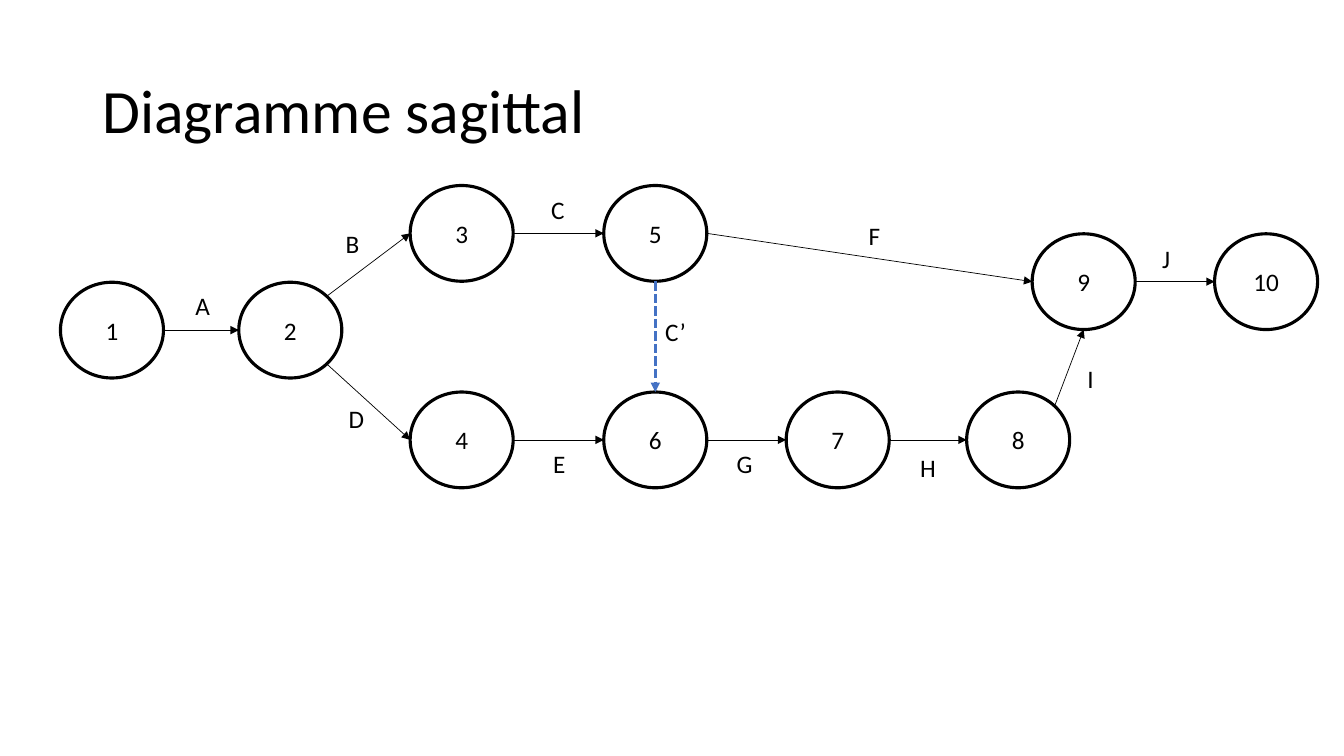
from math import sqrt
from lxml.etree import SubElement
from pptx import Presentation
from pptx.dml.color import RGBColor
from pptx.enum.dml import MSO_LINE as Dash
from pptx.enum.shapes import MSO_CONNECTOR as Link, MSO_SHAPE as Shape
from pptx.enum.text import MSO_ANCHOR as Anchor, MSO_AUTO_SIZE as Fit, PP_ALIGN as Align
from pptx.oxml.ns import qn
from pptx.util import Pt

BLACK, WHITE, BLUE = "000000", "FFFFFF", "4472C4"
WIDE, HIGH = 73.6, 68.4
TOP, RIGHT, MID, LOW = 132.5, 167, 201.6, 280

NODES = {
    "1": (43.2, MID), "2": (170.6, MID),
    "3": (293, TOP), "5": (431.3, TOP),
    "7": (561.6, LOW), "4": (293, LOW), "6": (431.3, LOW), "8": (690.5, LOW),
    "9": (737.3, RIGHT), "10": (867.6, RIGHT),
}

DIAG = sqrt(0.5)
SIDES = {
    "n": (0, -1), "s": (0, 1), "w": (-1, 0), "e": (1, 0),
    "ne": (DIAG, -DIAG), "se": (DIAG, DIAG),
}

TASKS = [
    ("A", "1", "e", "2", "w", 132.5, 203.8, 25.2),
    ("B", "2", "ne", "3", "w", 239.8, 159.8, 24.5),
    ("D", "2", "se", "4", "w", 241.9, 284.4, 25.9),
    ("C", "3", "e", "5", "w", 386.6, 135.4, 24.5),
    ("E", "4", "e", "6", "w", 388.1, 316.8, 23),
    ("G", "6", "e", "7", "w", 519.1, 316.8, 25.9),
    ("F", "5", "e", "9", "w", 613.4, 154.1, 23),
    ("H", "7", "e", "8", "w", 650.2, 319.7, 25.9),
    ("I", "8", "ne", "9", "s", 769.7, 255.6, 19.4),
    ("J", "9", "e", "10", "w", 823, 170.6, 20.2),
]
DUMMY = ("C’", "5", "s", "6", "n", 468, 222.5, 29.5)


def color(code):
    return RGBColor.from_string(code)


def write(frame, text, size, align=Align.LEFT):
    frame.text = text
    para = frame.paragraphs[0]
    para.alignment = align
    font = para.runs[0].font
    font.name, font.size = "Calibri", Pt(size)
    font.color.rgb = color(BLACK)
    return para


def add_title(slide, text):
    title = slide.shapes.title
    title.left, title.top, title.width, title.height = Pt(66), Pt(28.8), Pt(828), Pt(104.4)
    title.text_frame.vertical_anchor = Anchor.MIDDLE
    write(title.text_frame, text, 44).line_spacing = 0.9


def add_node(slide, name, left, top):
    node = slide.shapes.add_shape(Shape.OVAL, Pt(left), Pt(top), Pt(WIDE), Pt(HIGH))
    node.shadow.inherit = False
    node.fill.solid()
    node.fill.fore_color.rgb = color(WHITE)
    node.line.color.rgb = color(BLACK)
    node.line.width = Pt(2.25)
    node.text_frame.vertical_anchor = Anchor.MIDDLE
    write(node.text_frame, name, 18, Align.CENTER)


def port(name, side):
    left, top = NODES[name]
    dx, dy = SIDES[side]
    return Pt(left + WIDE / 2 * (1 + dx)), Pt(top + HIGH / 2 * (1 + dy))


def add_arrow(slide, start, end, code=BLACK, width=0.5, dash=None):
    arrow = slide.shapes.add_connector(Link.STRAIGHT, *start, *end)
    arrow.line.color.rgb = color(code)
    arrow.line.width = Pt(width)
    if dash:
        arrow.line.dash_style = dash
    props = arrow.element.spPr
    SubElement(props.find(qn("a:ln")), qn("a:tailEnd"), type="triangle")
    SubElement(props, qn("a:effectLst"))


def add_label(slide, text, left, top, width):
    frame = slide.shapes.add_textbox(Pt(left), Pt(top), Pt(width), Pt(29)).text_frame
    frame.word_wrap = False
    frame.auto_size = Fit.SHAPE_TO_FIT_TEXT
    write(frame, text, 18)


def add_task(slide, task, **style):
    label, start, out, end, into, left, top, width = task
    add_arrow(slide, port(start, out), port(end, into), **style)
    add_label(slide, label, left, top, width)


def main():
    deck = Presentation()
    deck.slide_width, deck.slide_height = Pt(960), Pt(540)
    slide = deck.slides.add_slide(deck.slide_layouts[5])
    add_title(slide, "Diagramme sagittal")
    for name, (left, top) in NODES.items():
        add_node(slide, name, left, top)
    for task in TASKS:
        add_task(slide, task)
    add_task(slide, DUMMY, code=BLUE, width=2.25, dash=Dash.SQUARE_DOT)
    deck.save("out.pptx")


if __name__ == "__main__":
    main()
